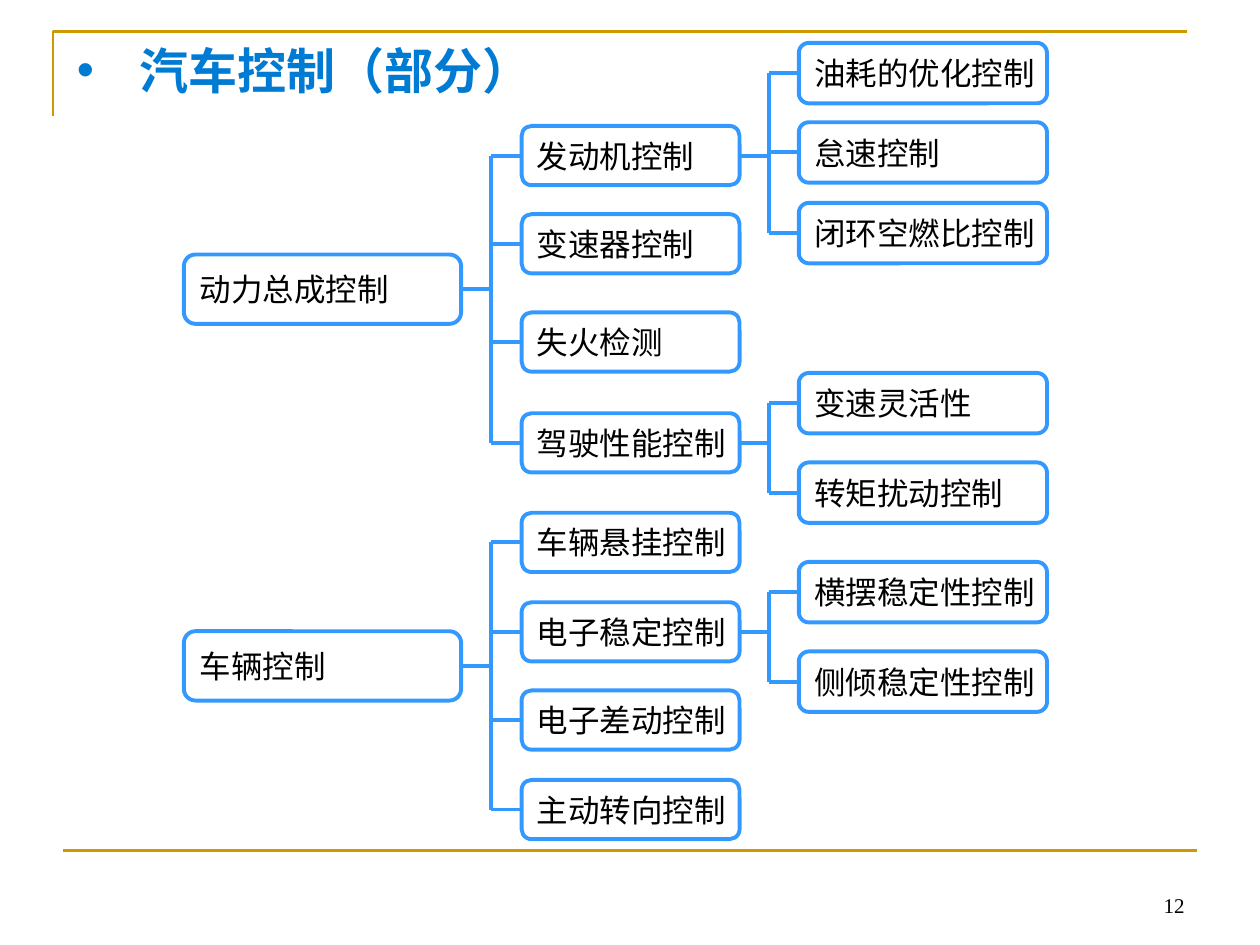
import dataclasses
import typing

import lxml.etree
import pptx
import pptx.dml.color
import pptx.enum.shapes
import pptx.enum.text
import pptx.oxml.ns
import pptx.util

Inches = pptx.util.Inches
Pt = pptx.util.Pt
Align = pptx.enum.text.PP_ALIGN
Anchor = pptx.enum.text.MSO_ANCHOR
qn = pptx.oxml.ns.qn


@dataclasses.dataclass(frozen=True)
class Theme:
    gold: str = "CC9900"
    blue: str = "3399FF"
    head: str = "007BD3"
    ink: str = "000000"
    sans: str = "Noto Sans CJK SC"
    serif: str = "Times New Roman"
    title: float = 28
    body: float = 18
    small: float = 12
    rule: float = 1.5
    edge: float = 2.25


@dataclasses.dataclass(frozen=True)
class Level:
    left: float
    width: float
    height: float
    trunk: float


@dataclasses.dataclass(frozen=True)
class Node:
    text: str
    top: float
    kids: tuple["Node", ...] = ()


THEME = Theme()

LEVELS = (
    Level(1.46, 2.2, 0.55, 3.9),
    Level(4.14, 1.73, 0.47, 6.1),
    Level(6.34, 1.97, 0.48, 0),
)

TREES = (
    Node("动力总成控制", 2.02, (
        Node("发动机控制", 1, (
            Node("油耗的优化控制", 0.34),
            Node("怠速控制", 0.97),
            Node("闭环空燃比控制", 1.61),
        )),
        Node("变速器控制", 1.7),
        Node("失火检测", 2.48),
        Node("驾驶性能控制", 3.28, (
            Node("变速灵活性", 2.96),
            Node("转矩扰动控制", 3.67),
        )),
    )),
    Node("车辆控制", 5.01, (
        Node("车辆悬挂控制", 4.07),
        Node("电子稳定控制", 4.78, (
            Node("横摆稳定性控制", 4.46),
            Node("侧倾稳定性控制", 5.17),
        )),
        Node("电子差动控制", 5.48),
        Node("主动转向控制", 6.19),
    )),
)


def paint(line: typing.Any, color: str, width: float) -> None:
    line.color.rgb = pptx.dml.color.RGBColor.from_string(color)
    line.width = Pt(width)


def write(
    shape: typing.Any,
    text: str,
    *,
    size: float = THEME.body,
    color: str = THEME.ink,
    face: str = THEME.sans,
    bold: bool = False,
    align: Align = Align.LEFT,
    anchor: Anchor = Anchor.MIDDLE,
    mark: str = "",
    right: float = 0.1,
) -> None:
    frame = shape.text_frame
    frame.word_wrap = True
    frame.auto_size = pptx.enum.text.MSO_AUTO_SIZE.NONE
    frame.vertical_anchor = anchor
    frame.margin_right = Inches(right)
    para = frame.paragraphs[0]
    para.alignment = align
    if mark:
        props = para._p.get_or_add_pPr()
        props.set("marL", str(Inches(0.5)))
        props.set("indent", str(-Inches(0.5)))
        lxml.etree.SubElement(props, qn("a:buFont"), typeface="Arial")
        lxml.etree.SubElement(props, qn("a:buChar"), char=mark)
    run = para.add_run()
    run.text = text
    font = run.font
    font.size = Pt(size)
    font.bold = bold
    font.name = face
    font.color.rgb = pptx.dml.color.RGBColor.from_string(color)
    lxml.etree.SubElement(run._r.get_or_add_rPr(), qn("a:ea"), typeface=face)


def join(
    shapes: typing.Any,
    start: tuple[float, float],
    end: tuple[float, float],
    *,
    box: typing.Any = None,
    side: int = 1,
    color: str = THEME.blue,
    width: float = THEME.edge,
) -> None:
    line = shapes.add_connector(
        pptx.enum.shapes.MSO_CONNECTOR.STRAIGHT,
        *(Inches(n) for n in start + end),
    )
    if box is not None:
        line.begin_connect(box, side)
    paint(line.line, color, width)
    lxml.etree.SubElement(line.element.spPr, qn("a:effectLst"))


def grow(shapes: typing.Any, node: Node, depth: int = 0) -> tuple[typing.Any, float]:
    level = LEVELS[depth]
    box = shapes.add_shape(
        pptx.enum.shapes.MSO_SHAPE.ROUNDED_RECTANGLE,
        Inches(level.left), Inches(node.top),
        Inches(level.width), Inches(level.height),
    )
    box.shadow.inherit = False
    box.fill.background()
    paint(box.line, THEME.blue, THEME.edge)
    write(box, node.text, right=0)
    mid = node.top + level.height / 2
    if node.kids:
        trunk = level.trunk
        join(shapes, (level.left + level.width, mid), (trunk, mid), box=box, side=3)
        mids = []
        for kid in node.kids:
            child, spot = grow(shapes, kid, depth + 1)
            join(shapes, (LEVELS[depth + 1].left, spot), (trunk, spot), box=child)
            mids.append(spot)
        join(shapes, (trunk, min(mids)), (trunk, max(mids)))
    return box, mid


def frame(shapes: typing.Any) -> None:
    pen = shapes.build_freeform(Inches(0.42), Inches(0.92))
    pen.add_line_segments(
        [(Inches(0.42), Inches(0.25)), (Inches(9.42), Inches(0.25))], close=False
    )
    corner = pen.convert_to_shape()
    corner.shadow.inherit = False
    corner.fill.background()
    paint(corner.line, THEME.gold, THEME.rule)
    join(shapes, (0.5, 6.75), (9.5, 6.75), color=THEME.gold, width=THEME.rule)


def main() -> None:
    deck = pptx.Presentation()
    deck.slide_width, deck.slide_height = Inches(10), Inches(7.5)
    slide = deck.slides.add_slide(deck.slide_layouts[5])
    shapes = slide.shapes
    frame(shapes)
    title = shapes.title
    title.left, title.top = Inches(0.51), Inches(0.28)
    title.width, title.height = Inches(4.3), Inches(0.55)
    write(title, "汽车控制（部分）", size=THEME.title, color=THEME.head,
          bold=True, mark="•")
    for tree in TREES:
        grow(shapes, tree)
    page = shapes.add_textbox(Inches(7.17), Inches(6.83), Inches(2.33), Inches(0.5))
    write(page, "12", size=THEME.small, face=THEME.serif,
          align=Align.RIGHT, anchor=Anchor.BOTTOM)
    deck.save("out.pptx")


if __name__ == "__main__":
    main()
